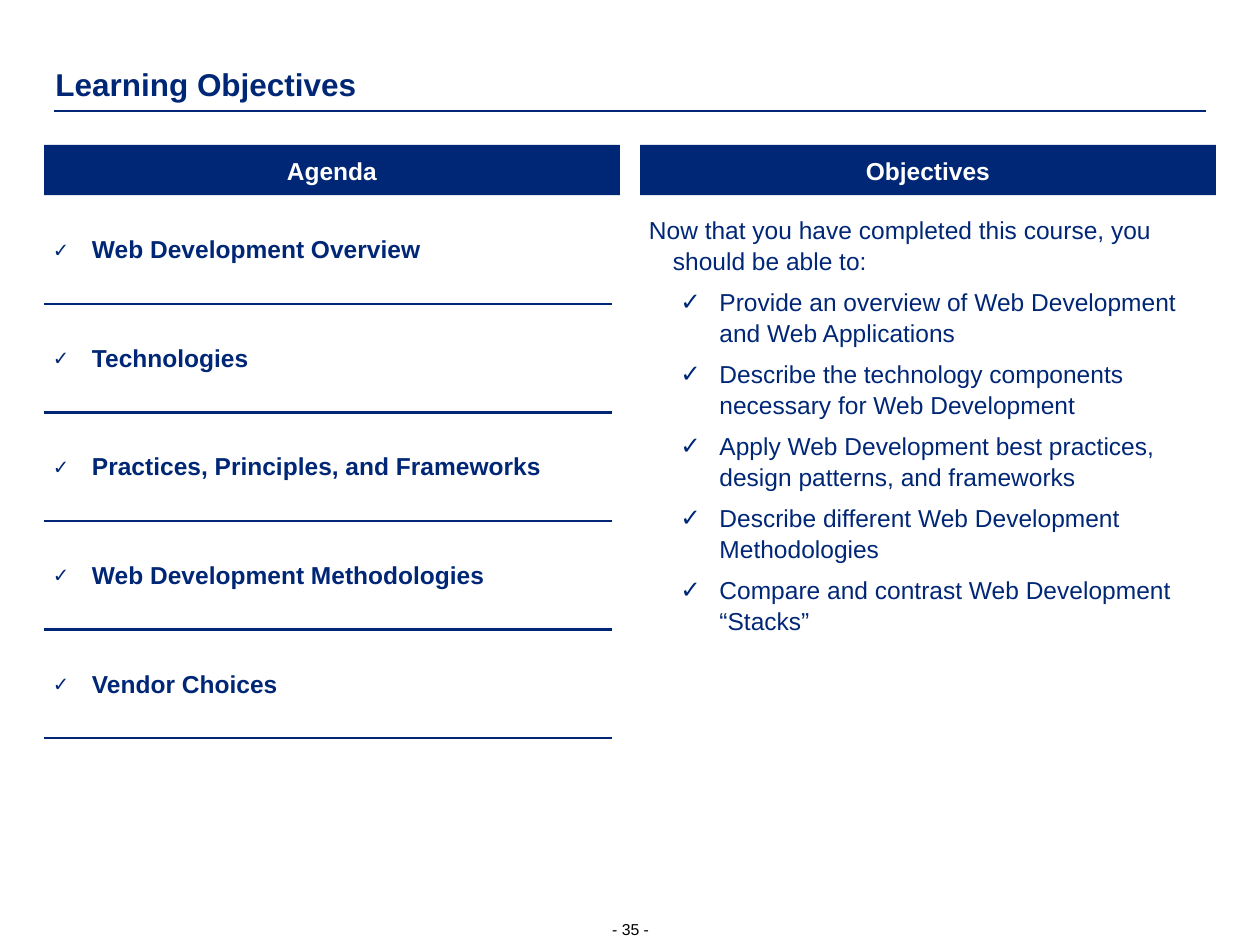
import pptx
import pptx.dml.color
import pptx.enum.shapes
import pptx.enum.text
import pptx.oxml
import pptx.oxml.ns
import pptx.util
from pptx.util import Inches

COLORS = {"navy": "002776", "white": "FFFFFF", "black": "000000"}
FONT = "Arial"
ALIGN = pptx.enum.text.PP_ALIGN
ANCHOR = pptx.enum.text.MSO_ANCHOR
NO_GRID_STYLE = "{2D5ABB26-0587-4C30-8999-92F81FD0307C}"

AGENDA = [
    "Web Development Overview",
    "Technologies",
    "Practices, Principles, and Frameworks",
    "Web Development Methodologies",
    "Vendor Choices",
]
INTRO = "Now that you have completed this course, you should be able to:"
OBJECTIVES = [
    "Provide an overview of Web Development and Web Applications",
    "Describe the technology components necessary for Web Development",
    "Apply Web Development best practices, design patterns, and frameworks",
    "Describe different Web Development Methodologies",
    "Compare and contrast Web Development “Stacks”",
]


def rgb(name):
    """Return the named colour."""
    return pptx.dml.color.RGBColor.from_string(COLORS[name])


def add_xml(parent, tag, content="", **attrs):
    """Append a DrawingML element to a parent."""
    attr_text = "".join(f' {k}="{v}"' for k, v in attrs.items())
    ns = pptx.oxml.ns.nsdecls("a")
    parent.append(pptx.oxml.parse_xml(f"<a:{tag} {ns}{attr_text}>{content}</a:{tag}>"))


def set_frame(tf, anchor, inset=0, wrap=True):
    """Set anchor, insets and wrapping of a text frame."""
    tf.auto_size = pptx.enum.text.MSO_AUTO_SIZE.NONE
    tf.word_wrap = wrap
    tf.vertical_anchor = anchor
    tf.margin_left = tf.margin_right = Inches(inset)
    tf.margin_top = tf.margin_bottom = Inches(inset)


def write(p, text, size=14, color="navy", bold=False, align=ALIGN.LEFT, before=0):
    """Write one formatted run into a paragraph."""
    p.alignment = align
    p.line_spacing = 1.06
    p.space_before = pptx.util.Pt(before)
    r = p.add_run()
    r.text = text
    r.font.name = FONT
    r.font.size = pptx.util.Pt(size)
    r.font.bold = bold
    r.font.color.rgb = rgb(color)


def set_indent(p, left, hanging, check=True, percent=100):
    """Give a paragraph a hanging indent, with or without a check mark."""
    pPr = p._p.get_or_add_pPr()
    pPr.set("marL", str(Inches(left)))
    pPr.set("indent", str(-Inches(hanging)))
    if not check:
        add_xml(pPr, "buNone")
        return
    add_xml(pPr, "buClr", f'<a:srgbClr val="{COLORS["navy"]}"/>')
    add_xml(pPr, "buSzPct", val=percent * 1000)
    add_xml(pPr, "buFont", typeface=FONT)
    add_xml(pPr, "buChar", char="✓")


def place(sp, x, y, w, h):
    """Move and size a shape, in inches."""
    sp.left, sp.top, sp.width, sp.height = map(Inches, (x, y, w, h))


def add_title(s, x, y, w, h):
    """Fill the title and draw the rule below it."""
    sp = s.shapes.title
    place(sp, x, y, w, h)
    set_frame(sp.text_frame, ANCHOR.BOTTOM)
    write(sp.text_frame.paragraphs[0], "Learning Objectives", size=18, bold=True)
    rule_y = Inches(y + h + 0.06)
    rule = s.shapes.add_connector(
        pptx.enum.shapes.MSO_CONNECTOR.STRAIGHT,
        Inches(0.43), rule_y, Inches(9.57), rule_y)
    rule.line.color.rgb = rgb("navy")
    rule.line.width = pptx.util.Pt(1.5)
    add_xml(rule._element.spPr, "effectLst")


def add_header(s, text, x, y, w, h):
    """Add a filled column header."""
    sp = s.shapes.add_shape(
        pptx.enum.shapes.MSO_SHAPE.RECTANGLE, *map(Inches, (x, y, w, h)))
    sp.shadow.inherit = False
    sp.fill.solid()
    sp.fill.fore_color.rgb = rgb("navy")
    sp.line.fill.background()
    set_frame(sp.text_frame, ANCHOR.MIDDLE, inset=0.08)
    write(sp.text_frame.paragraphs[0], text, color="white", bold=True, align=ALIGN.CENTER)


def add_agenda(s, x, y, w, h):
    """Add the agenda table with a line under each topic."""
    rows = len(AGENDA) + 1
    tbl = s.shapes.add_table(rows, 1, *map(Inches, (x, y, w, h))).table
    tbl.first_row = tbl.horz_banding = False
    tbl._tbl.tblPr.find(pptx.oxml.ns.qn("a:tableStyleId")).text = NO_GRID_STYLE
    line = f'<a:solidFill><a:srgbClr val="{COLORS["navy"]}"/></a:solidFill>'
    for row, text in enumerate(AGENDA + [""]):
        cell = tbl.cell(row, 0)
        cell.vertical_anchor = ANCHOR.MIDDLE
        cell.margin_left = cell.margin_right = 0
        cell.margin_top = cell.margin_bottom = 0
        if text:
            p = cell.text_frame.paragraphs[0]
            write(p, text, bold=True)
            set_indent(p, 0.38, 0.31, percent=80)
            add_xml(cell._tc.get_or_add_tcPr(), "lnB", line, w=pptx.util.Pt(1.5))
        cell.fill.background()


def add_objectives(s, x, y, w, h):
    """Fill the body placeholder with the objectives."""
    sp = s.placeholders[1]
    place(sp, x, y, w, h)
    tf = sp.text_frame
    set_frame(tf, ANCHOR.TOP)
    p = tf.paragraphs[0]
    write(p, INTRO)
    set_indent(p, 0.19, 0.19, check=False)
    for text in OBJECTIVES:
        p = tf.add_paragraph()
        p.level = 1
        write(p, text, before=5.6)
        set_indent(p, 0.56, 0.31)


def add_page_number(s, x, y, w, h):
    """Add the page number at the foot."""
    tf = s.shapes.add_textbox(*map(Inches, (x, y, w, h))).text_frame
    set_frame(tf, ANCHOR.BOTTOM, wrap=False)
    write(tf.paragraphs[0], "- 35 -", size=9, color="black", align=ALIGN.CENTER)


def main():
    """Build and save the slide."""
    prs = pptx.Presentation()
    prs.slide_width, prs.slide_height = Inches(10), Inches(7.5)
    s = prs.slides.add_slide(prs.slide_layouts[1])
    add_title(s, 0.44, 0.52, 9.13, 0.3)
    for text, x in (("Agenda", 0.35), ("Objectives", 5.08)):
        add_header(s, text, x, 1.15, 4.57, 0.4)
    add_agenda(s, 0.35, 1.55, 4.51, 5.17)
    add_objectives(s, 5.15, 1.69, 4.35, 5.06)
    add_page_number(s, 4.85, 7.29, 0.31, 0.16)
    prs.save("out.pptx")


if __name__ == "__main__":
    main()
